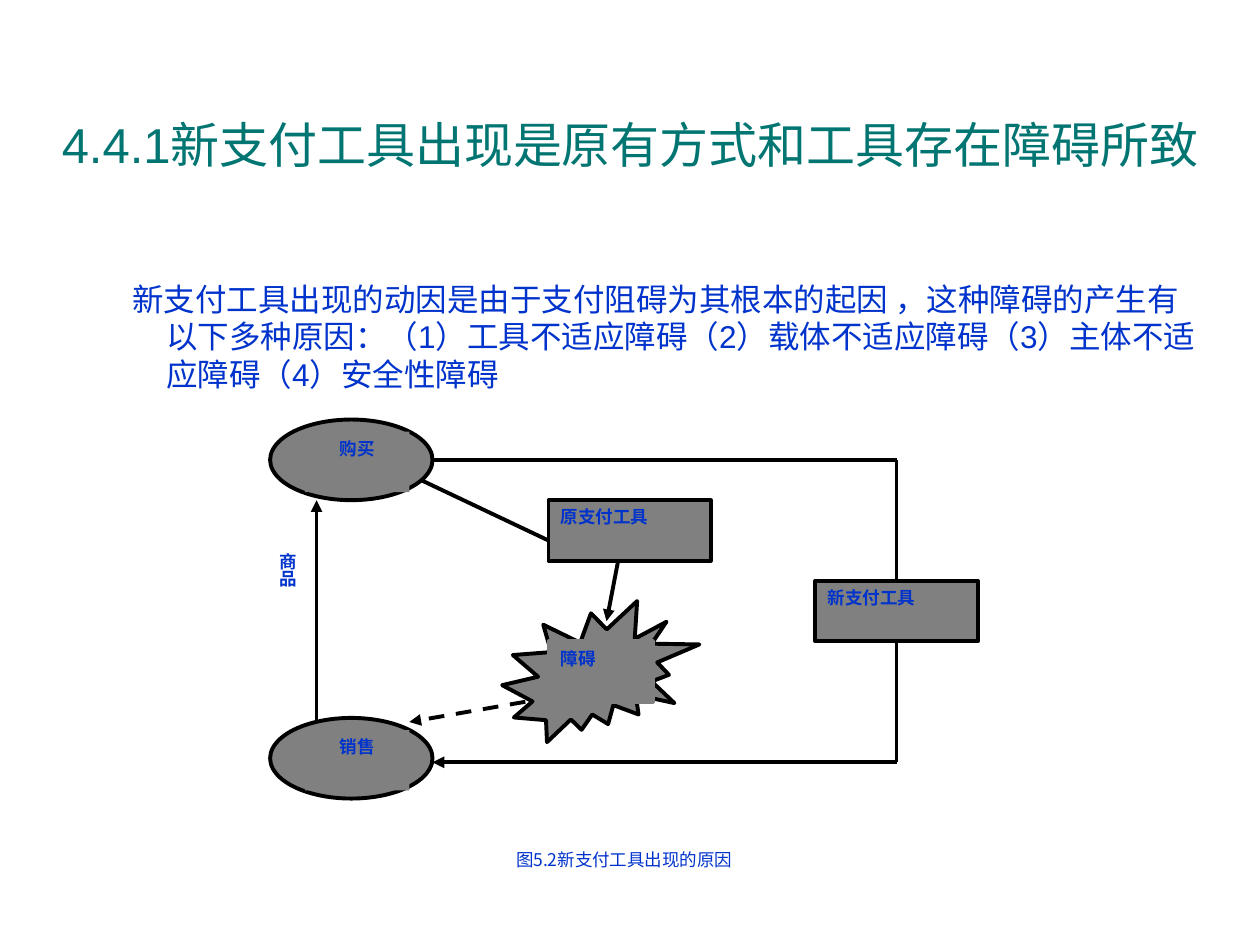
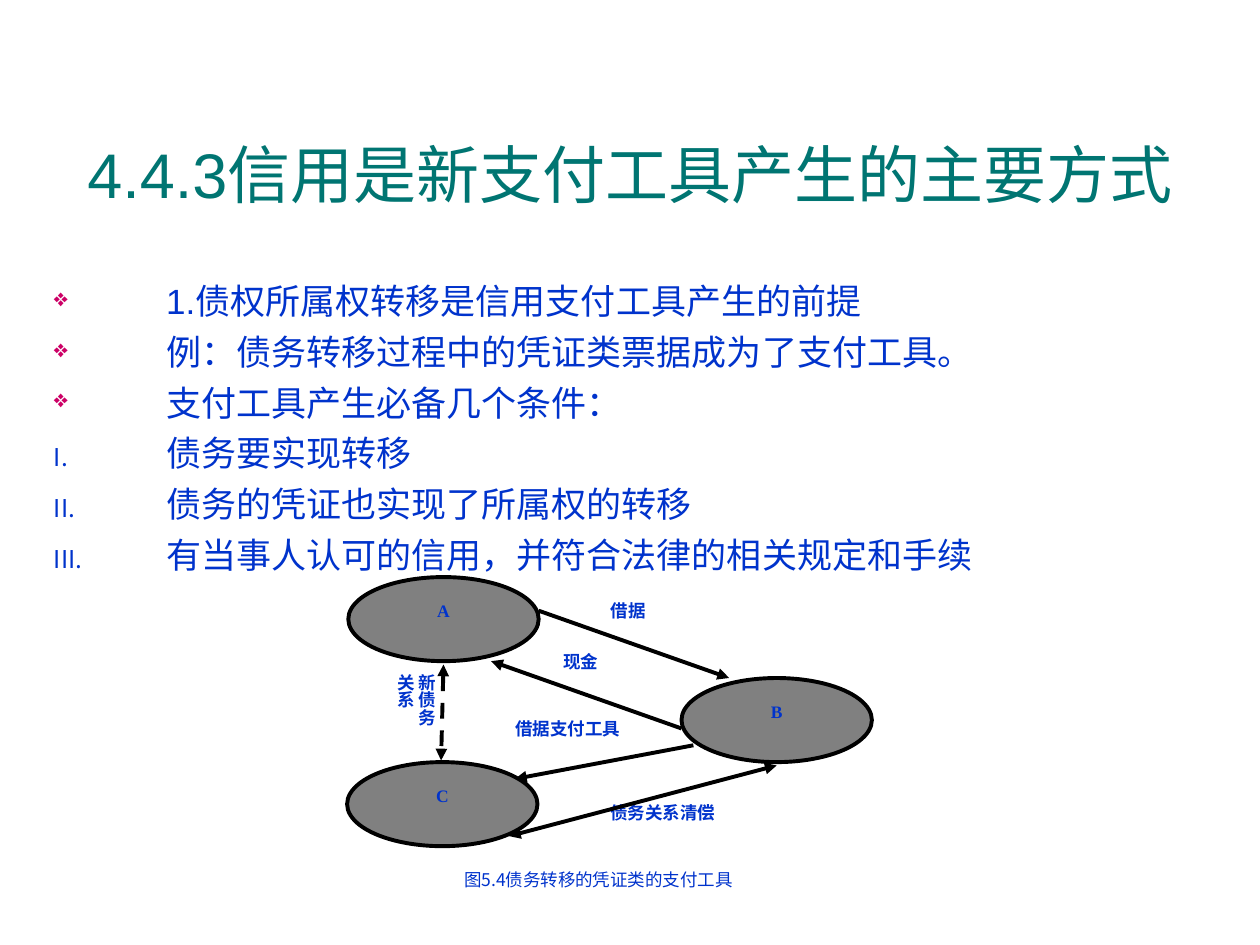
import pptx
import pptx.dml.color
import pptx.enum.dml
import pptx.enum.shapes
import pptx.enum.text
import pptx.oxml
import pptx.oxml.ns
import pptx.util

WIDE, HIGH = 10, 7.5
TEAL, BLUE, PINK = "007572", "0033CC", "CC0066"
GRAY, BLACK, WHITE = "808080", "000000", "FFFFFF"
SANS, SERIF, HAN = "Arial", "Times New Roman", "Noto Sans CJK SC"
TITLE = (0.33, 0.75, 9.34, 1.25)
BODY = (0.33, 2.17, 9.34, 4.25)
HANG = 0.89
STROKE = 2.25

Inch = pptx.util.Inches
Kind = pptx.enum.shapes.MSO_SHAPE
Align = pptx.enum.text.PP_ALIGN
Anchor = pptx.enum.text.MSO_ANCHOR


def color(code):
    return pptx.dml.color.RGBColor.from_string(code)


def node(tag, **attrs):
    item = pptx.oxml.parse_xml(f"<a:{tag} {pptx.oxml.ns.nsdecls('a')}/>")
    for key, value in attrs.items():
        item.set(key, str(value))
    return item


def write(shape, lines, size=10, font=HAN, code=BLUE, bold=False,
          align=Align.LEFT, anchor=Anchor.TOP, gap=0, hang=None, marks=(),
          inset=(0.1, 0.05, 0.1, 0.05)):
    """Fill a shape with paragraphs; hang is (margin, first line indent)."""
    frame = shape.text_frame
    frame.word_wrap = True
    frame.vertical_anchor = anchor
    (frame.margin_left, frame.margin_top,
     frame.margin_right, frame.margin_bottom) = map(Inch, inset)
    for i, line in enumerate(lines):
        para = frame.add_paragraph() if i else frame.paragraphs[0]
        props = para._p.get_or_add_pPr()
        if hang:
            props.set("marL", str(Inch(hang[0])))
            props.set("indent", str(Inch(hang[1])))
        if marks:
            bullet(props, marks[i])
        para.alignment = align
        if i and gap:
            para.space_before = pptx.util.Pt(gap)
        run = para.add_run()
        run.text = line
        run.font.size = pptx.util.Pt(size)
        run.font.name = font
        run.font.bold = bold
        run.font.color.rgb = color(code)


def bullet(props, mark):
    tint = node("buClr")
    tint.append(node("srgbClr", val=PINK if mark else BLUE))
    props.append(tint)
    props.append(node("buSzPct", val=70000))
    props.append(node("buChar", char=mark) if mark
                 else node("buAutoNum", type="romanUcPeriod"))


def text(slide, box, lines, **format):
    write(slide.shapes.add_textbox(*map(Inch, box)), lines, **format)


def head(slide, line, size, foot=0.05):
    text(slide, TITLE, [line], size=size, font=SANS, code=TEAL,
         align=Align.CENTER, anchor=Anchor.MIDDLE,
         inset=(0.1, 0.05, 0.1, foot))


class Chart:
    """A grouped diagram whose parts sit on a grid of columns and rows."""

    def __init__(self, slide, box, cols, rows):
        self.left, self.top, wide, high = box
        self.col, self.row = wide / cols, high / rows
        self.shapes = slide.shapes.add_group_shape().shapes

    def spot(self, x, y):
        return (Inch(self.left + x * self.col), Inch(self.top + y * self.row))

    def shape(self, cell, kind=Kind.RECTANGLE, fill=GRAY, edge=None):
        x, y, wide, high = cell
        item = self.shapes.add_shape(
            kind, *self.spot(x, y), Inch(wide * self.col),
            Inch(high * self.row))
        item.shadow.inherit = False
        item.fill.solid()
        item.fill.fore_color.rgb = color(fill)
        if edge:
            item.line.color.rgb = color(edge)
            item.line.width = pptx.util.Pt(STROKE)
        else:
            item.line.fill.background()
        return item

    def label(self, cell, line, fill=GRAY, edge=None, bold=True,
              align=Align.JUSTIFY, **format):
        item = self.shape(cell, fill=fill, edge=edge)
        write(item, [line], bold=bold, align=align, **format)
        return item

    def upright(self, cell, line, align):
        item = self.label(cell, line, fill=WHITE, align=align,
                          inset=(0.05, 0.1, 0.05, 0.1))
        item.text_frame._txBody.bodyPr.set("vert", "eaVert")

    def caption(self, cell, line):
        self.label(cell, line, fill=WHITE, bold=False, align=Align.CENTER)

    def line(self, start, end, tips="", dash=False):
        """tips holds '<' for an arrow at the start, '>' for one at the end."""
        item = self.shapes.add_connector(
            pptx.enum.shapes.MSO_CONNECTOR.STRAIGHT,
            *self.spot(*start), *self.spot(*end))
        item.line.color.rgb = color(BLACK)
        item.line.width = pptx.util.Pt(STROKE)
        if dash:
            item.line.dash_style = pptx.enum.dml.MSO_LINE.DASH
        stroke = item.line._get_or_add_ln()
        for tip, tag in (("<", "headEnd"), (">", "tailEnd")):
            if tip in tips:
                stroke.append(node(tag, type="triangle"))
        item._element.spPr.append(node("effectLst"))


def barrier(slide):
    head(slide, "4.4.1新支付工具出现是原有方式和工具存在障碍所致", 28, foot=0.52)
    text(slide, BODY, [
        "新支付工具出现的动因是由于支付阻碍为其根本的起因 ，这种障碍的产生有"
        "以下多种原因：（1）工具不适应障碍（2）载体不适应障碍（3）主体"
        "不适应障碍（4）安全性障碍"], size=18, font=SANS, hang=(HANG, -0.27))

    flow = Chart(slide, (1.96, 3.33, 5.8, 3.84), 63, 24)
    for y, name in ((0, "购买"), (14.8, "销售")):
        flow.shape((2, y, 14, 4), Kind.OVAL, edge=BLACK)
        flow.label((5, y + 0.6, 9, 3), name, align=Align.CENTER)
    flow.line((6, 15), (6, 4), ">")
    flow.upright((0, 6, 5, 4), "商品", Align.RIGHT)
    flow.label((26, 4, 14, 3), "原支付工具", edge=BLACK)
    flow.shape((22, 9, 17, 7), Kind.EXPLOSION2, edge=BLACK)
    flow.label((26, 11, 9, 3), "障碍", edge=GRAY)
    flow.line((32, 7), (31, 10), ">")
    flow.line((15, 3), (26, 6))
    flow.line((24, 14), (14, 15), ">", dash=True)
    flow.label((49, 8, 14, 3), "新支付工具", edge=BLACK)
    flow.line((16, 2), (56, 2))
    flow.line((56, 2), (56, 8))
    flow.line((56, 11), (56, 17))
    flow.line((56, 17), (16, 17), ">")
    flow.caption((10, 21, 45, 3), "图5.2新支付工具出现的原因")


def credit(slide):
    head(slide, "4.4.3信用是新支付工具产生的主要方式", 36)
    text(slide, BODY, [
        "1.债权所属权转移是信用支付工具产生的前提",
        "例：债务转移过程中的凭证类票据成为了支付工具。",
        "支付工具产生必备几个条件：",
        "债务要实现转移",
        "债务的凭证也实现了所属权的转移",
        "有当事人认可的信用，并符合法律的相关规定和手续",
    ], size=20, font=SANS, gap=5, hang=(HANG, -HANG),
        marks=["❖"] * 3 + [None] * 3)

    debt = Chart(slide, (2.67, 4.58, 4.25, 2.67), 45, 20)
    debt.upright((0, 5, 9, 5), "新债务关系", Align.JUSTIFY)
    for x, y, wide, name in ((14, 8, 15, "借据支付工具"),
                             (22, 13, 17, "债务关系清偿"),
                             (18, 4, 7, "现金"), (22, 1, 7, "借据")):
        debt.label((x, y, wide, 3), name, fill=WHITE)
    for x, y, name in ((1, 0, "A"), (29, 6, "B"), (0.9, 11, "C")):
        debt.shape((x, y, 16, 5), Kind.OVAL, edge=BLACK)
        debt.label((x + 5, y + 1, 6, 3), name, edge=GRAY,
                   align=Align.CENTER, font=SERIF)
    debt.line((29, 9), (13, 5), ">")
    debt.line((17, 2), (33, 6), ">")
    debt.line((14.5, 15.4), (37, 11.2), "<>")
    debt.line((30, 10), (15, 12), ">")
    debt.line((9, 5.2), (8.8, 10.9), "<>", dash=True)
    debt.caption((1, 17, 42, 3), "图5.4债务转移的凭证类的支付工具")


def main():
    deck = pptx.Presentation()
    deck.slide_width, deck.slide_height = Inch(WIDE), Inch(HIGH)
    for draw in (barrier, credit):
        draw(deck.slides.add_slide(deck.slide_layouts[6]))
    deck.save("out.pptx")


if __name__ == "__main__":
    main()
